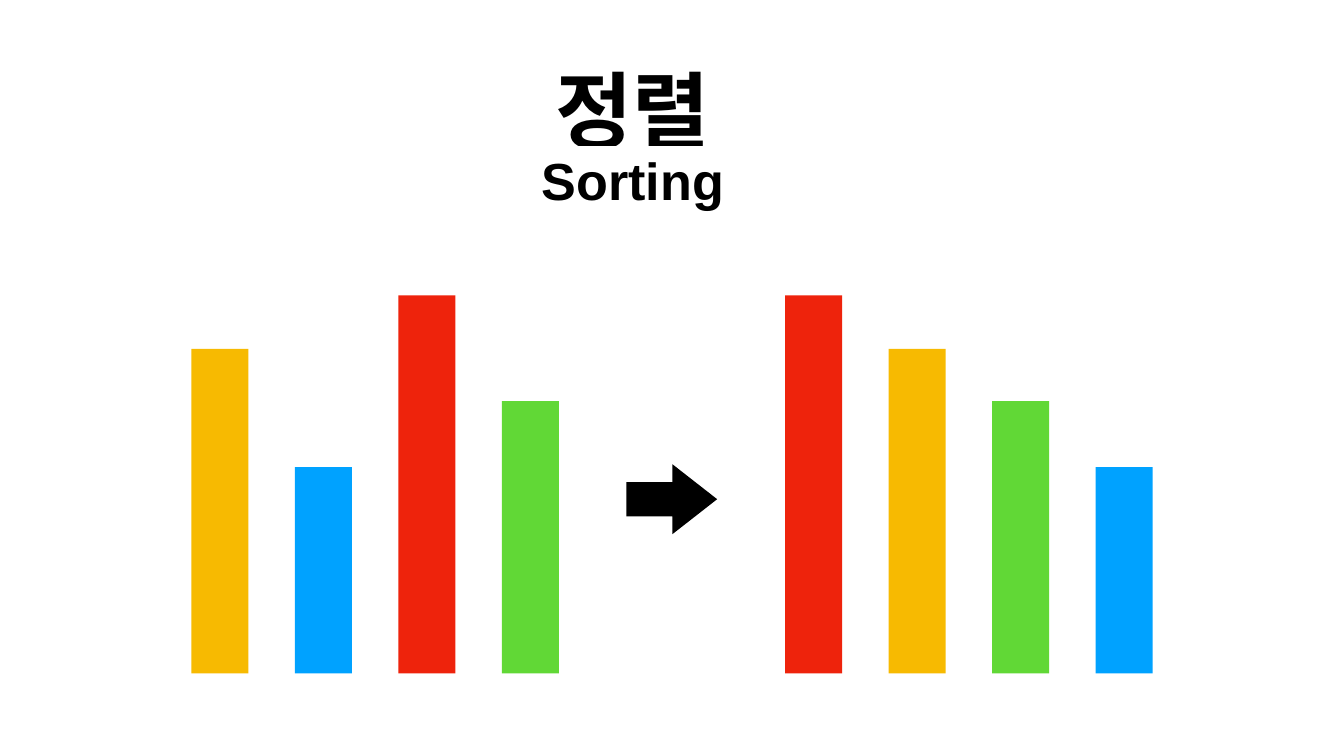
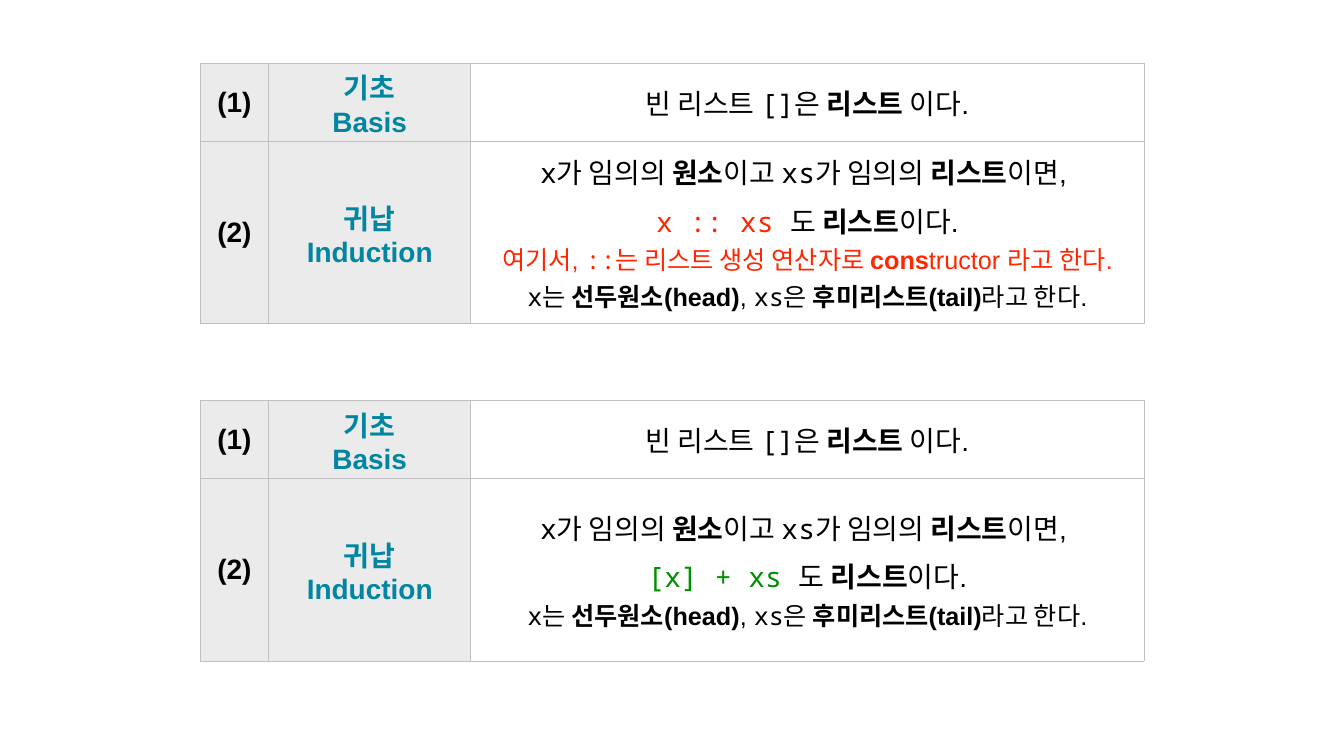
import pptx
import pptx.util
import pptx.dml.color
import pptx.enum.shapes
import pptx.enum.text
import pptx.oxml

COLOURS = {
    "yellow": "F7BA01", "blue": "00A2FF", "red": "EE230C", "green": "61D836",
    "black": "000000", "white": "FFFFFF", "grey": "EBEBEB", "rule": "C0C0C0",
    "teal": "0086A2", "scarlet": "FF2600", "leaf": "008F00",
}
SANS, MONO = "Arial", "Noto Sans Mono"
INSET = pptx.util.Inches(0.06)
CENTER = pptx.enum.text.PP_ALIGN.CENTER
RECTANGLE = pptx.enum.shapes.MSO_SHAPE.RECTANGLE

deck = pptx.Presentation()
deck.slide_width = pptx.util.Inches(26.67)
deck.slide_height = pptx.util.Inches(15)
COLUMN = deck.slide_width / 100
ROW = deck.slide_height / 100


def paint(fill, colour):
    fill.solid()
    fill.fore_color.rgb = pptx.dml.color.RGBColor.from_string(COLOURS[colour])


def style(font, size, colour, bold=None):
    font.name = SANS
    font.size = pptx.util.Pt(size)
    font.bold = bold
    paint(font.fill, colour)


sorting_page = deck.slides.add_slide(deck.slide_layouts[5])
title = sorting_page.shapes.title
subtitle = sorting_page.shapes.add_textbox(0, 0, 0, 0)
headings = [
    (title, "정렬", 120, 1, 35.47, 7.13, 23.25, 14.4),
    (subtitle, "Sorting", 74.5, 0.9, 38.36, 19.33, 17.47, 9.07),
]
for box, text, size, spacing, left, top, width, height in headings:
    box.left, box.top = int(left * COLUMN), int(top * ROW)
    box.width, box.height = int(width * COLUMN), int(height * ROW)
    paint(box.fill, "white")
    frame = box.text_frame
    frame.word_wrap = True
    frame.auto_size = pptx.enum.text.MSO_AUTO_SIZE.NONE
    frame.vertical_anchor = pptx.enum.text.MSO_ANCHOR.BOTTOM
    frame.margin_left = frame.margin_right = INSET
    frame.margin_top = frame.margin_bottom = INSET
    frame.text = text
    para = frame.paragraphs[0]
    para.alignment = CENTER
    para.line_spacing = spacing
    style(para.font, size, "black", True)

BAR_HEIGHTS = {"yellow": 42.93, "blue": 27.27, "red": 50, "green": 36}
BAR_WIDTH, BAR_STEP, BASELINE = 4.24, 7.7, 89.07
bar_groups = [
    (14.25, list(BAR_HEIGHTS)),
    (58.42, sorted(BAR_HEIGHTS, key=BAR_HEIGHTS.get, reverse=True)),
]
for group_left, bar_colours in bar_groups:
    for index, colour in enumerate(bar_colours):
        height = BAR_HEIGHTS[colour]
        bar = sorting_page.shapes.add_shape(
            RECTANGLE,
            int((group_left + index * BAR_STEP) * COLUMN), int((BASELINE - height) * ROW),
            int(BAR_WIDTH * COLUMN), int(height * ROW))
        bar.shadow.inherit = False
        bar.line.fill.background()
        paint(bar.fill, colour)

arrow = sorting_page.shapes.add_shape(
    pptx.enum.shapes.MSO_SHAPE.RIGHT_ARROW,
    int(46.61 * COLUMN), int(61.4 * ROW), int(6.75 * COLUMN), int(9.27 * ROW))
arrow.adjustments[0], arrow.adjustments[1] = 0.49, 0.64
arrow.shadow.inherit = False
arrow.line.fill.background()
paint(arrow.fill, "black")

EMPTY_LIST = (40, 1, "black", [
    ("빈 리스트 ", ""), ("[]", "code"), ("은 ", ""), ("리스트", "bold"), (" 이다.", "")])
PREMISE = (40, 1, "black", [
    ("x", "code"), ("가 임의의 ", ""), ("원소", "bold"), ("이고 ", ""),
    ("xs", "code"), ("가 임의의 ", ""), ("리스트", "bold"), ("이면, ", "")])
CONCLUSION = [("도 ", ""), ("리스트", "bold"), ("이다.", "")]
CONSTRUCTOR = (36, 1, "scarlet", [
    ("여기서, ", ""), ("::", "code"), ("는 리스트 생성 연산자로 ", ""),
    ("cons", "bold"), ("tructor 라고 한다.", "")])
PARTS = (36, 1, "black", [
    ("x", "code"), ("는 ", ""), ("선두원소(head)", "bold"), (", ", ""),
    ("xs", "code"), ("은 ", ""), ("후미리스트(tail)", "bold"), ("라고 한다.", "")])
CONS_RULE = (40, 1.2, "black", [("x :: xs ", "scarlet")] + CONCLUSION)
PLUS_RULE = (40, 1.2, "black", [("[x] + xs ", "leaf")] + CONCLUSION)

definitions = [
    (8.4, [PREMISE, CONS_RULE, CONSTRUCTOR, PARTS]),
    (53, [PREMISE, PLUS_RULE, PARTS]),
]
COLUMN_WIDTHS = [5.1, 15.04, 50.09]
ROW_HEIGHTS = [9.87, 24.13]

list_page = deck.slides.add_slide(deck.slide_layouts[6])
for top, induction in definitions:
    table = list_page.shapes.add_table(
        2, 3, int(14.89 * COLUMN), int(top * ROW),
        int(sum(COLUMN_WIDTHS) * COLUMN), int(sum(ROW_HEIGHTS) * ROW)).table
    table.first_row = table.horz_banding = False
    for index, width in enumerate(COLUMN_WIDTHS):
        table.columns[index].width = int(width * COLUMN)
    cases = [("(1)", "기초\vBasis", [EMPTY_LIST]), ("(2)", "귀납\vInduction", induction)]
    for row, (number, label, statement) in enumerate(cases):
        table.rows[row].height = int(ROW_HEIGHTS[row] * ROW)
        contents = [
            [(40, 1, "black", [(number, "bold")])],
            [(40, 1, "teal", [(label, "bold")])],
            statement,
        ]
        for column, paragraphs in enumerate(contents):
            cell = table.cell(row, column)
            cell.vertical_anchor = pptx.enum.text.MSO_ANCHOR.MIDDLE
            cell.margin_left = cell.margin_right = INSET
            cell.margin_top = cell.margin_bottom = INSET
            properties = cell._tc.get_or_add_tcPr()
            for edge in ("lnL", "lnR", "lnT", "lnB"):
                properties.append(pptx.oxml.parse_xml(
                    f'<a:{edge} xmlns:a="http://schemas.openxmlformats.org/drawingml/2006/main"'
                    f' w="12700"><a:solidFill><a:srgbClr val="{COLOURS["rule"]}"/>'
                    f'</a:solidFill></a:{edge}>'))
            paint(cell.fill, "white" if column == 2 else "grey")
            frame = cell.text_frame
            for index, (size, spacing, colour, spans) in enumerate(paragraphs):
                para = frame.add_paragraph() if index else frame.paragraphs[0]
                para.alignment = CENTER
                para.line_spacing = spacing
                style(para.font, size, colour)
                for text, look in spans:
                    for part, line in enumerate(text.split("\v")):
                        if part:
                            para.add_line_break()
                        span = para.add_run()
                        span.text = line
                        style(span.font, size, look if look in COLOURS else colour, look == "bold")
                        if look == "code" or look in COLOURS:
                            span.font.name = MONO

deck.save("out.pptx")
